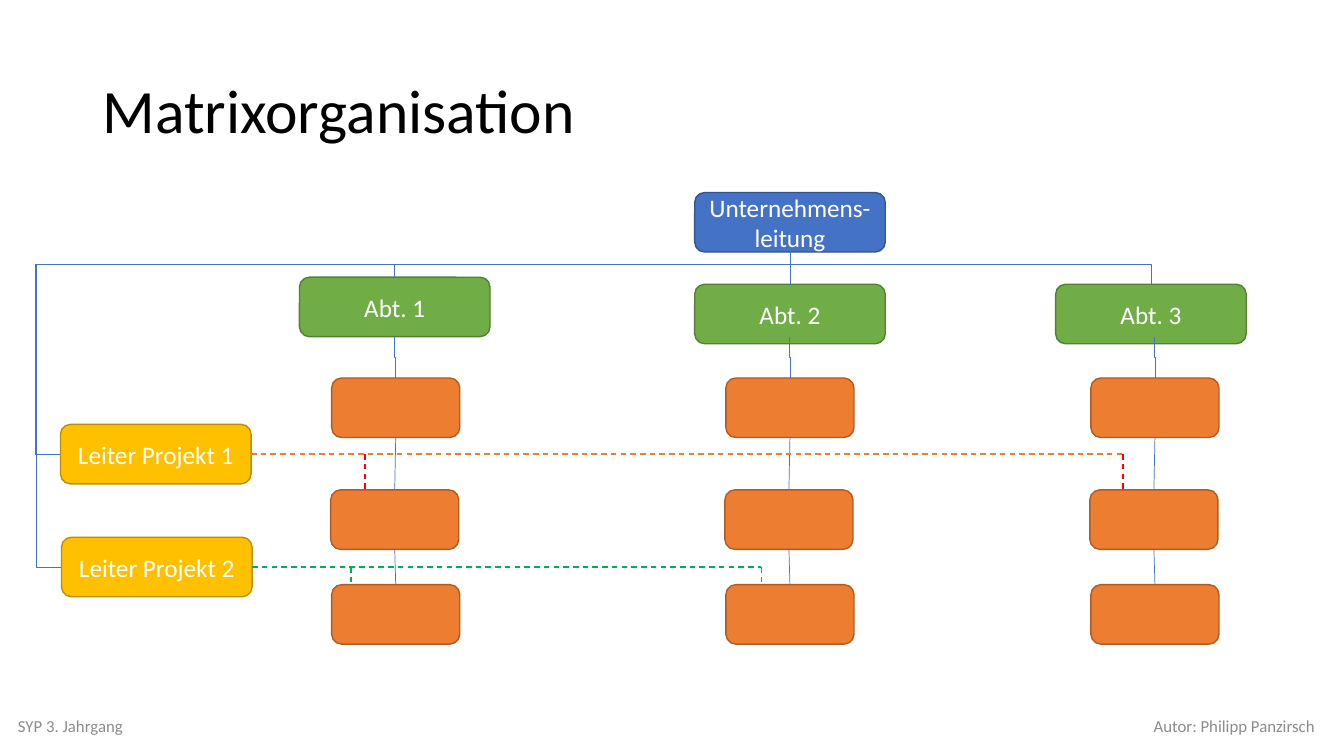
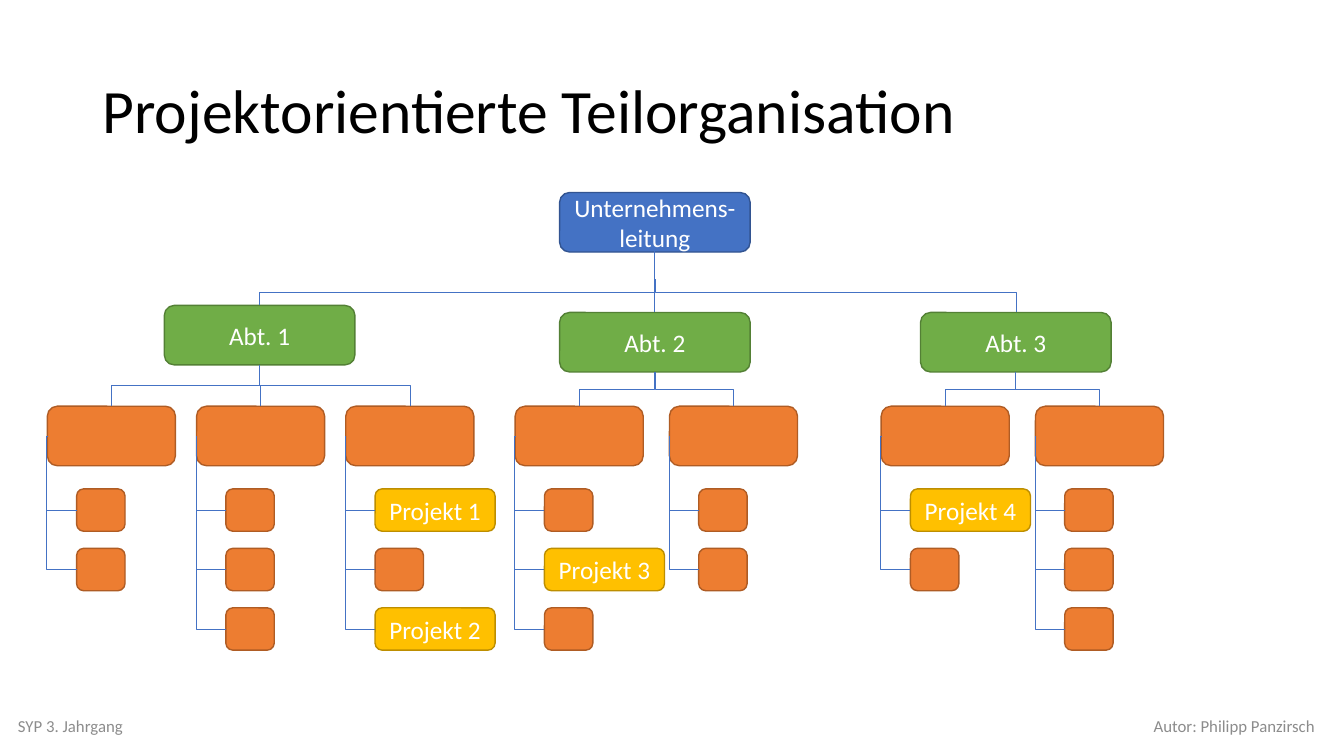
"""Build two organisation charts: a matrix and a project-oriented one."""
from lxml import etree
from pptx import Presentation
from pptx.dml.color import RGBColor
from pptx.enum.dml import MSO_LINE
from pptx.enum.shapes import MSO_CONNECTOR, MSO_SHAPE
from pptx.enum.text import MSO_ANCHOR, PP_ALIGN
from pptx.oxml.ns import qn
from pptx.util import Inches, Pt

ROUNDED = MSO_SHAPE.ROUNDED_RECTANGLE
STRAIGHT, ELBOW = MSO_CONNECTOR.STRAIGHT, MSO_CONNECTOR.ELBOW
DASH = MSO_LINE.DASH
MIDDLE = MSO_ANCHOR.MIDDLE
LEFT, CENTER, RIGHT = PP_ALIGN.LEFT, PP_ALIGN.CENTER, PP_ALIGN.RIGHT

FONT = "Calibri"
COLORS = {
    "title": "000000",
    "footer": "8C8C8C",
    "box_text": "FFFFFF",
    "management": "4472C4",
    "management_edge": "325491",
    "department": "70AD47",
    "department_edge": "538035",
    "team": "ED7D31",
    "team_edge": "AF5C24",
    "project": "FFC000",
    "project_edge": "BD8E00",
    "red": "FF0000",
    "green": "00B050",
}

WIDE, MEDIUM, PROJECT, SMALL = 1.89, 1.27, 1.19, 0.48
HIGH, LOW = 0.59, 0.42
MANAGEMENT_TOP, MANAGEMENT_BOTTOM = 1.91, 2.49

MATRIX_COLUMNS = [
    ("Abt. 1", 2.97, 2.75, 3.29),
    ("Abt. 2", 6.89, 2.82, 7.2),
    ("Abt. 3", 10.47, 2.82, 10.82),
]
MATRIX_ROWS = [(3.75, 0), (4.86, -0.01), (5.8, 0)]

PROJECT_DEPARTMENTS = [
    ("Abt. 1", 1.63, 3.03, [
        (0.47, ["", ""]),
        (1.95, ["", "", ""]),
        (3.43, ["Projekt 1", "", "Projekt 2"]),
    ]),
    ("Abt. 2", 5.55, 3.1, [
        (5.11, ["", "Projekt 3", ""]),
        (6.64, ["", ""]),
    ]),
    ("Abt. 3", 9.13, 3.1, [
        (8.74, ["Projekt 4", ""]),
        (10.27, ["", "", ""]),
    ]),
]


def rgb(name):
    """Return the named colour."""
    return RGBColor.from_string(COLORS[name])


def set_text(shape, text, size, color, alignment):
    """Write one vertically centred paragraph into a shape."""
    frame = shape.text_frame
    frame.word_wrap = True
    frame.vertical_anchor = MIDDLE
    frame.text = text
    paragraph = frame.paragraphs[0]
    paragraph.alignment = alignment
    for run in paragraph.runs:
        run.font.name = FONT
        run.font.size = Pt(size)
        run.font.color.rgb = rgb(color)
    return paragraph


def add_text(slide, left, top, width, height, text, size, color, alignment=LEFT):
    """Add a text box and return its paragraph."""
    shape = slide.shapes.add_textbox(
        Inches(left), Inches(top), Inches(width), Inches(height))
    return set_text(shape, text, size, color, alignment)


def add_box(slide, kind, left, top, width, height=HIGH, text=""):
    """Add a rounded box in the colours of its kind."""
    shape = slide.shapes.add_shape(
        ROUNDED, Inches(left), Inches(top), Inches(width), Inches(height))
    shape.shadow.inherit = False
    shape.fill.solid()
    shape.fill.fore_color.rgb = rgb(kind)
    shape.line.color.rgb = rgb(f"{kind}_edge")
    shape.line.width = Pt(1)
    if text:
        set_text(shape, text, 18, "box_text", CENTER)


def add_line(slide, start, end, color="management", width=0.5, dash=None, kind=STRAIGHT):
    """Add a connector without shadow between two points."""
    connector = slide.shapes.add_connector(
        kind, *(Inches(value) for value in (*start, *end)))
    connector.line.color.rgb = rgb(color)
    connector.line.width = Pt(width)
    if dash:
        connector.line.dash_style = dash
    etree.SubElement(connector.element.spPr, qn("a:effectLst"))
    return connector


def set_bends(connector, bends):
    """Give an elbow connector its bends as fractions of its size."""
    geometry = connector.element.spPr.find(qn("a:prstGeom"))
    geometry.set("prst", f"bentConnector{len(bends) + 2}")
    guides = geometry.find(qn("a:avLst"))
    if guides is None:
        guides = etree.SubElement(geometry, qn("a:avLst"))
    for number, bend in enumerate(bends, 1):
        guide = etree.SubElement(guides, qn("a:gd"))
        guide.set("name", f"adj{number}")
        guide.set("fmla", f"val {round(bend * 100000)}")


def add_drop(slide, start, end, bends=(0.5,)):
    """Add an elbow that leaves its start downwards."""
    across, down = abs(end[0] - start[0]), end[1] - start[1]
    left = (start[0] + end[0] - down) / 2
    top = (start[1] + end[1] - across) / 2
    connector = add_line(
        slide, (left, top), (left + down, top + across), kind=ELBOW)
    transform = connector.element.spPr.find(qn("a:xfrm"))
    if end[0] < start[0]:
        transform.set("rot", "5400000")
    else:
        transform.set("rot", "16200000")
        transform.set("flipH", "1")
    set_bends(connector, bends)


def add_dashes(slide, start, end, color):
    """Add a dashed project line."""
    add_line(slide, start, end, color, 1, DASH)


def add_slide(presentation, title):
    """Add a blank slide with title and footers."""
    slide = presentation.slides.add_slide(presentation.slide_layouts[6])
    paragraph = add_text(slide, 0.92, 0.4, 11.5, 1.45, title, 44, "title")
    paragraph.line_spacing = 0.9
    add_text(slide, 0.08, 7, 4.5, 0.4, "SYP 3. Jahrgang", 12, "footer")
    add_text(slide, 8.64, 7, 4.5, 0.4, "Autor: Philipp Panzirsch", 12, "footer", RIGHT)
    return slide


def add_management(slide, left):
    """Add the management box and return its centre."""
    add_box(slide, "management", left, MANAGEMENT_TOP, WIDE,
            text="Unternehmens-leitung")
    return left + WIDE / 2


def add_department(slide, name, left, top, center, branch_top):
    """Add a department and its line from the management."""
    add_box(slide, "department", left, top, WIDE, text=name)
    middle = left + WIDE / 2
    if abs(middle - center) < 0.01:
        add_line(slide, (center, MANAGEMENT_BOTTOM), (center, top))
    else:
        bend = 0.13 / (top - branch_top)
        add_drop(slide, (center, branch_top), (middle, top), (bend,))
    return middle


def add_matrix_column(slide, team_left):
    """Add the teams of one department along their spine."""
    spine = team_left + MEDIUM / 2
    for top, shift in MATRIX_ROWS:
        add_box(slide, "team", team_left + shift, top, MEDIUM)
    add_drop(slide, (spine - 0.01, 3.34), (spine, MATRIX_ROWS[0][0]))
    for (upper, shift), (lower, next_shift) in zip(MATRIX_ROWS, MATRIX_ROWS[1:]):
        add_line(slide, (spine + shift, upper + HIGH), (spine + next_shift, lower))


def add_matrix_slide(presentation):
    """Build the matrix organisation."""
    slide = add_slide(presentation, "Matrixorganisation")
    center = add_management(slide, 6.89)
    for name, left, top, team_left in MATRIX_COLUMNS:
        add_department(slide, name, left, top, center, MANAGEMENT_BOTTOM)
        add_matrix_column(slide, team_left)

    leaders = [
        ("Leiter Projekt 1", 0.6, 4.21, "team", "red", 4.86, (3.62, 11.14)),
        ("Leiter Projekt 2", 0.61, 5.33, "green", "green", 5.8, (3.48, 7.55)),
    ]
    for name, left, top, color, branch_color, team_top, branches in leaders:
        add_box(slide, "project", left, top, WIDE, text=name)
        middle = top + HIGH / 2
        add_dashes(slide, (left + WIDE, middle), (branches[-1], middle), color)
        for branch in branches:
            add_dashes(slide, (branch, middle), (branch, team_top), branch_color)
        bends = (0.13 / (middle - MANAGEMENT_BOTTOM), 1.035)
        add_drop(slide, (center, MANAGEMENT_BOTTOM), (left, middle), bends)


def add_team(slide, left, members):
    """Add a team with its members hanging from its left edge."""
    top = 4.03
    add_box(slide, "team", left, top, MEDIUM)
    for row, label in enumerate(members):
        member_left, member_top = left + 0.29, 4.85 + row * 0.59
        kind, width = ("project", PROJECT) if label else ("team", SMALL)
        add_box(slide, kind, member_left, member_top, width, LOW, label)
        connector = add_line(
            slide, (left, top + HIGH / 2), (member_left, member_top + LOW / 2),
            kind=ELBOW)
        set_bends(connector, (-0.02,))


def add_project_slide(presentation):
    """Build the project-oriented organisation."""
    slide = add_slide(presentation, "Projektorientierte Teilorganisation")
    center = add_management(slide, 5.55)
    for name, left, top, teams in PROJECT_DEPARTMENTS:
        middle = add_department(slide, name, left, top, center, 2.77)
        for team_left, members in teams:
            add_team(slide, team_left, members)
            add_drop(slide, (middle, top + HIGH), (team_left + MEDIUM / 2, 4.03))


def main():
    """Create and save the presentation."""
    presentation = Presentation()
    presentation.slide_width = Inches(13.33)
    presentation.slide_height = Inches(7.5)
    add_matrix_slide(presentation)
    add_project_slide(presentation)
    presentation.save("out.pptx")


main()
